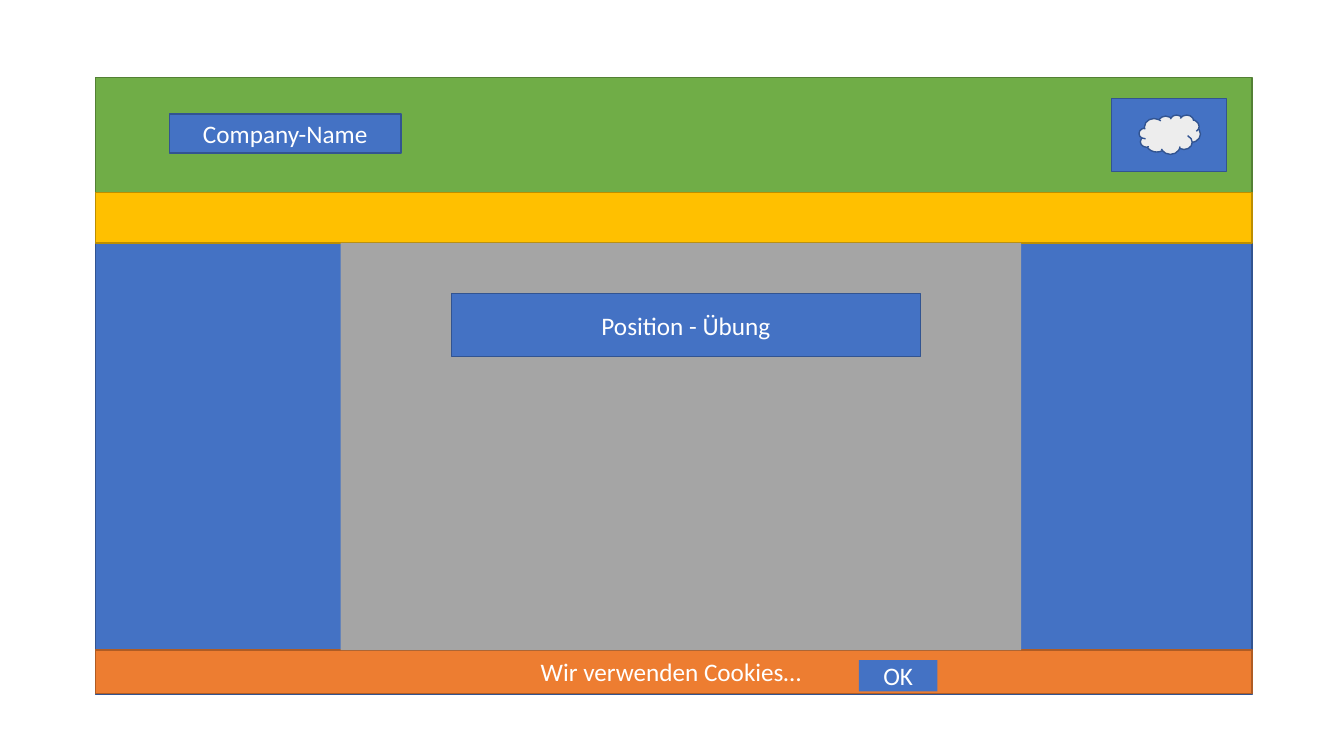
from dataclasses import dataclass

import pptx
import pptx.dml.color
import pptx.enum.shapes
import pptx.enum.text
import pptx.presentation
import pptx.shapes.autoshape
import pptx.slide
import pptx.util

COLORS = {
    "blue": "4472C4",
    "blue_edge": "325491",
    "orange": "ED7D31",
    "orange_edge": "AF5C24",
    "green": "70AD47",
    "green_edge": "538035",
    "yellow": "FFC000",
    "yellow_edge": "BD8E00",
    "grey": "A5A5A5",
    "cloud": "EDEDED",
    "white": "FFFFFF",
}
FONT = "Calibri"
RECTANGLE = pptx.enum.shapes.MSO_SHAPE.RECTANGLE
CLOUD = pptx.enum.shapes.MSO_SHAPE.CLOUD

# Page frame and the stacked bands inside it, in points
PAGE_LEFT, PAGE_WIDTH = 68.4, 825.84
HEADER_TOP, HEADER_HEIGHT = 55.44, 82.08
NAVIGATION_TOP, NAVIGATION_HEIGHT = HEADER_TOP + HEADER_HEIGHT, 36
CONTENT_TOP = NAVIGATION_TOP + NAVIGATION_HEIGHT
COOKIE_TOP, COOKIE_HEIGHT = 464.4, 30.96


@dataclass(frozen=True)
class Block:
    left: float
    top: float
    width: float
    height: float
    fill: str = "blue"
    edge: str | None = "blue_edge"
    text: str = ""
    preset: pptx.enum.shapes.MSO_SHAPE = RECTANGLE
    is_title: bool = False


def page_band(top: float, height: float, color: str, text: str = "") -> Block:
    return Block(PAGE_LEFT, top, PAGE_WIDTH, height, color, f"{color}_edge", text)


BLOCKS = [
    page_band(56.16, 439.92, "blue"),
    page_band(COOKIE_TOP, COOKIE_HEIGHT, "orange", "Wir verwenden Cookies… "),
    Block(613.44, 471.6, 56.16, 22.32, edge=None, text="OK"),
    page_band(HEADER_TOP, HEADER_HEIGHT, "green"),
    Block(120.96, 81.36, 165.6, 28.08, text="Company-Name"),
    Block(794.16, 70.56, 82.08, 51.84),
    Block(813.6, 82.08, 43.92, 28.08, fill="cloud", preset=CLOUD),
    page_band(NAVIGATION_TOP, NAVIGATION_HEIGHT, "yellow"),
    Block(243.36, CONTENT_TOP, 486, COOKIE_TOP - CONTENT_TOP, "grey", None),
    Block(322.56, CONTENT_TOP + 36, 334.8, 45.36, text="Position - Übung", is_title=True),
]


def color(name: str) -> pptx.dml.color.RGBColor:
    return pptx.dml.color.RGBColor.from_string(COLORS[name])


def create_shape(slide: pptx.slide.Slide, block: Block) -> pptx.shapes.autoshape.Shape:
    """Return a placed shape in front of all others; a title uses its placeholder."""
    left, top, width, height = (
        pptx.util.Pt(length)
        for length in (block.left, block.top, block.width, block.height)
    )
    if not block.is_title:
        shape = slide.shapes.add_shape(block.preset, left, top, width, height)
        shape.shadow.inherit = False
        return shape
    title = slide.shapes.title
    title.left, title.top, title.width, title.height = left, top, width, height
    title.element.getparent().append(title.element)
    return title


def write_text(shape: pptx.shapes.autoshape.Shape, text: str) -> None:
    text_frame = shape.text_frame
    text_frame.text = text
    text_frame.word_wrap = True
    text_frame.auto_size = pptx.enum.text.MSO_AUTO_SIZE.NONE
    text_frame.vertical_anchor = pptx.enum.text.MSO_ANCHOR.MIDDLE
    paragraph = text_frame.paragraphs[0]
    paragraph.alignment = pptx.enum.text.PP_ALIGN.CENTER
    for run in paragraph.runs:
        run.font.name = FONT
        run.font.size = pptx.util.Pt(18)
        run.font.color.rgb = color("white")


def draw_block(slide: pptx.slide.Slide, block: Block) -> None:
    shape = create_shape(slide, block)
    shape.fill.solid()
    shape.fill.fore_color.rgb = color(block.fill)
    if block.edge:
        shape.line.color.rgb = color(block.edge)
        shape.line.width = pptx.util.Pt(1)
    else:
        shape.line.fill.background()
    if block.text:
        write_text(shape, block.text)


def main() -> None:
    presentation = pptx.Presentation()
    presentation.slide_width = pptx.util.Pt(960)
    presentation.slide_height = pptx.util.Pt(540)
    title_only_layout = presentation.slide_layouts[5]
    slide = presentation.slides.add_slide(title_only_layout)
    for block in BLOCKS:
        draw_block(slide, block)
    presentation.save("out.pptx")


if __name__ == "__main__":
    main()
